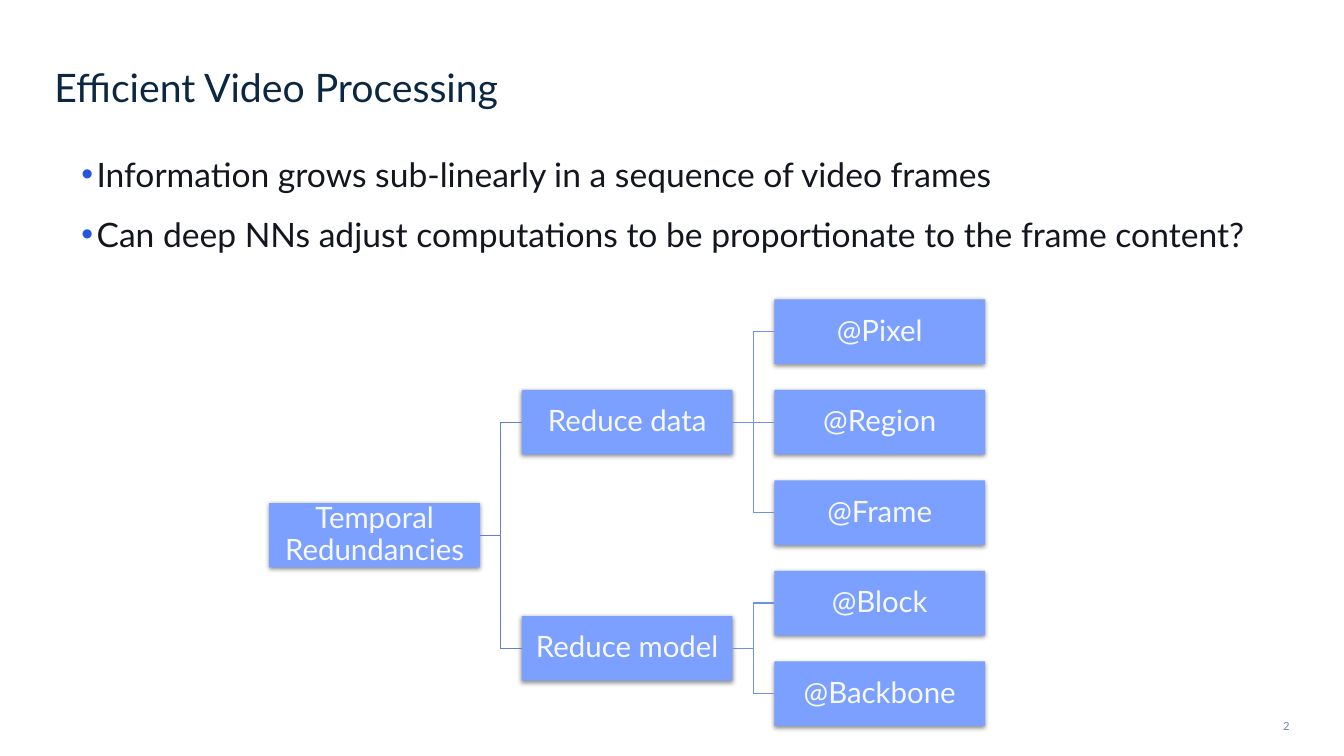
from lxml.etree import SubElement
from pptx import Presentation
from pptx.dml.color import RGBColor
from pptx.enum.shapes import MSO_CONNECTOR, MSO_SHAPE
from pptx.enum.text import MSO_ANCHOR, PP_ALIGN
from pptx.oxml.ns import qn
from pptx.util import Inches, Pt

# Content
TITLE = "Efficient Video Processing"
BULLETS = [
    "Information grows sub-linearly in a sequence of video frames",
    "Can deep NNs adjust computations to be proportionate to the frame content?",
]
ROOT = "Temporal Redundancies"
BRANCHES = {
    "Reduce data": ["@Pixel", "@Region", "@Frame"],
    "Reduce model": ["@Block", "@Backbone"],
}
PAGE_NUMBER = "2"

# Tree geometry in inches
TREE_LEFT, COLUMN_STEP = 2.67, 2.505
FIRST_CENTER, ROW_STEP = 3.29, 0.898
NODE_WIDTH, NODE_HEIGHT = 2.09, 0.64

# Formats
TITLE_FORMAT = {"size": 28, "color": "0B2742", "line_spacing": 0.84, "alignment": PP_ALIGN.LEFT}
BULLET_FORMAT = {"size": 24, "color": "13161E", "line_spacing": 1.07}
NODE_FORMAT = {"size": 21, "color": "F7F8FA", "line_spacing": 0.9,
               "alignment": PP_ALIGN.CENTER, "space_after": Pt(7)}
NUMBER_FORMAT = {"size": 8, "color": "7088AC", "line_spacing": 1.25, "alignment": PP_ALIGN.RIGHT}
NODE_FILL, BULLET_COLOR = "7BA0FF", "2853DC"
ROOT_LINE, BRANCH_LINE = "6380CC", "7091E7"


def rgb(value):
    return RGBColor.from_string(value)


def format_paragraph(paragraph, size, color, **settings):
    for name, value in settings.items():
        setattr(paragraph, name, value)
    for name, value in {"name": "Lato", "size": Pt(size), "bold": False}.items():
        setattr(paragraph.font, name, value)
    paragraph.font.color.rgb = rgb(color)


def prepare_frame(shape, anchor, margin):
    frame = shape.text_frame
    settings = {"word_wrap": True, "vertical_anchor": anchor}
    for side in ("left", "right", "top", "bottom"):
        settings[f"margin_{side}"] = Inches(margin)
    for name, value in settings.items():
        setattr(frame, name, value)
    return frame


def add_bullet(paragraph):
    properties = paragraph._p.get_or_add_pPr()
    properties.set("marL", str(Inches(0.15)))
    properties.set("indent", str(Inches(-0.21)))
    color = SubElement(properties, qn("a:buClr"))
    SubElement(color, qn("a:srgbClr"), val=BULLET_COLOR)
    SubElement(properties, qn("a:buFont"), typeface="Arial")
    SubElement(properties, qn("a:buChar"), char="•")


def add_shadow(shape):
    shape.shadow.inherit = False
    effects = shape._element.spPr.find(qn("a:effectLst"))
    shadow = SubElement(effects, qn("a:outerShdw"), blurRad=str(Pt(3.5)),
                        dist=str(Pt(1.1)), dir="5400000", rotWithShape="0")
    color = SubElement(shadow, qn("a:srgbClr"), val="000000")
    SubElement(color, qn("a:alpha"), val="45000")


def add_node(slide, text, column, center):
    node = slide.shapes.add_shape(
        MSO_SHAPE.RECTANGLE, Inches(TREE_LEFT + column * COLUMN_STEP),
        Inches(center - NODE_HEIGHT / 2), Inches(NODE_WIDTH), Inches(NODE_HEIGHT))
    node.fill.solid()
    node.fill.fore_color.rgb = rgb(NODE_FILL)
    node.line.fill.background()
    add_shadow(node)
    frame = prepare_frame(node, MSO_ANCHOR.MIDDLE, 0.01)
    frame.text = text
    format_paragraph(frame.paragraphs[0], **NODE_FORMAT)
    return node


def join(slide, parent, child, color):
    level = abs(parent.top - child.top) < Inches(0.01)
    kind = MSO_CONNECTOR.STRAIGHT if level else MSO_CONNECTOR.ELBOW
    connector = slide.shapes.add_connector(kind, 0, 0, 0, 0)
    connector.begin_connect(parent, 3)
    connector.end_connect(child, 1)
    connector.line.color.rgb = rgb(color)
    connector.line.width = Pt(0.85)
    SubElement(connector._element.spPr, qn("a:effectLst"))


def add_tree(slide):
    branches, branch_centers, row = [], [], 0
    for branch_text, leaf_texts in BRANCHES.items():
        centers = [FIRST_CENTER + (row + i) * ROW_STEP for i in range(len(leaf_texts))]
        row += len(leaf_texts)
        # A parent sits midway between its first and last child
        branch_centers.append((centers[0] + centers[-1]) / 2)
        branch = add_node(slide, branch_text, 1, branch_centers[-1])
        branches.append(branch)
        for leaf_text, center in zip(leaf_texts, centers):
            join(slide, branch, add_node(slide, leaf_text, 2, center), BRANCH_LINE)
    root = add_node(slide, ROOT, 0, (branch_centers[0] + branch_centers[-1]) / 2)
    for branch in branches:
        join(slide, root, branch, ROOT_LINE)


def main():
    presentation = Presentation()
    presentation.slide_width, presentation.slide_height = Inches(13.33), Inches(7.5)
    slide = presentation.slides.add_slide(presentation.slide_layouts[5])

    # Title
    title = slide.shapes.title
    title.left, title.top, title.width, title.height = map(Inches, (0.54, 0.7, 12.23, 0.4))
    frame = prepare_frame(title, MSO_ANCHOR.BOTTOM, 0)
    frame.text = TITLE
    format_paragraph(frame.paragraphs[0], **TITLE_FORMAT)

    # Bullets
    body = slide.shapes.add_textbox(*map(Inches, (0.71, 1.45, 11.8, 1.3)))
    frame = body.text_frame
    frame.word_wrap = True
    for index, text in enumerate(BULLETS):
        paragraph = frame.add_paragraph() if index else frame.paragraphs[0]
        paragraph.text = text
        add_bullet(paragraph)
        format_paragraph(paragraph, space_before=Pt(12 if index else 0), **BULLET_FORMAT)

    add_tree(slide)

    # Page number
    number = slide.shapes.add_textbox(*map(Inches, (12.39, 7.12, 0.41, 0.16)))
    frame = prepare_frame(number, MSO_ANCHOR.BOTTOM, 0.01)
    frame.text = PAGE_NUMBER
    format_paragraph(frame.paragraphs[0], **NUMBER_FORMAT)

    presentation.save("out.pptx")


if __name__ == "__main__":
    main()
